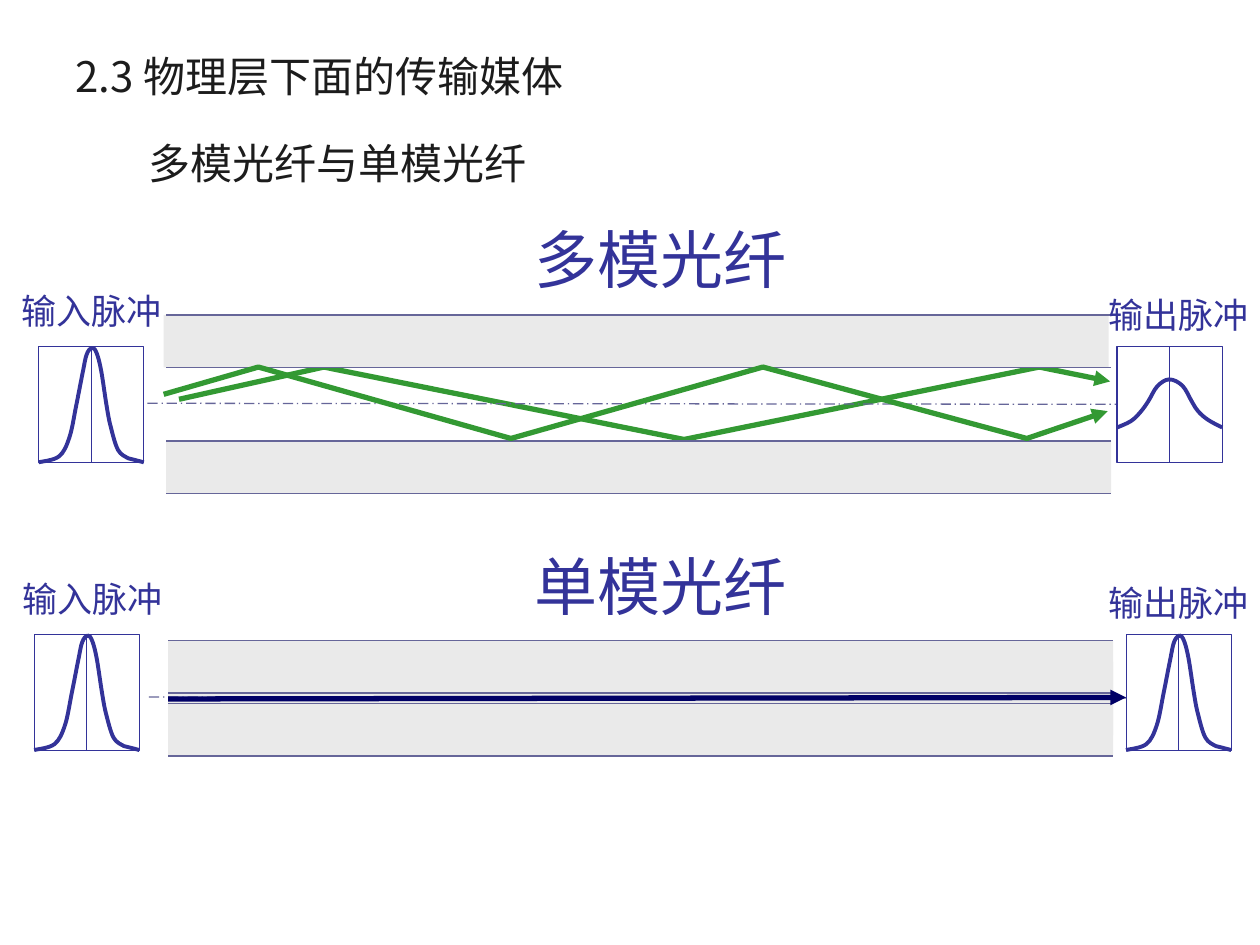
from lxml import etree
from pptx import Presentation, util as u
from pptx.dml.color import RGBColor
from pptx.enum import dml, shapes, text
from pptx.oxml.ns import qn

Cm, Pt = u.Cm, u.Pt
COLOURS = {"ink": "1C1C1C", "label": "333399", "edge": "666699", "cladding": "EAEAEA",
           "ray": "339933", "beam": "000066", "white": "FFFFFF"}
CJK_FONT = "Noto Sans CJK SC"

# All lengths are in centimetres.
HEADING = ("2.3 物理层下面的传输媒体", (1.27, 0.76, 22.86, 1.55))
TITLE = ("多模光纤与单模光纤", (1.9, 2.51, 9.8, 1.55))
FIBRE_WIDTH, CLADDING_HEIGHT = 19.05, 1.06
PULSE_WIDTH, PULSE_HEIGHT = 2.12, 2.33

# Pulse curves, measured from the top left corner of their frame.
NARROW = [(0, 2.33), (0.41, 2.21), (0.62, 1.83), (0.76, 1.17), (0.89, 0.51),
          (0.97, 0.15), (1.08, 0.02), (1.17, 0.13), (1.26, 0.48), (1.37, 1.19),
          (1.45, 1.6), (1.6, 2.08), (1.81, 2.25), (1.93, 2.28), (2.12, 2.33)]
WIDE = [(0, 1.63), (0.28, 1.5), (0.47, 1.32), (0.63, 1.1), (0.81, 0.8), (1.05, 0.66),
        (1.32, 0.79), (1.52, 1.13), (1.64, 1.31), (1.84, 1.48), (2.12, 1.63)]

SINGLE_MODE = {
    "name": ("单模光纤", 10.52, 10.92), "left": 3.39, "cladding_lefts": (3.39, 3.39),
    "cladding_tops": (12.91, 14.18), "core": (3.39, 13.34, FIBRE_WIDTH, 1.48),
    "axis": [(3, 14.05), (22.74, 14.07)], "pulse_top": 12.79, "frame_line": 0.5,
    "pulses": [("输入脉冲", 0.2, 11.51, 0.69, NARROW),
               ("输出脉冲", 22.1, 11.59, 22.7, NARROW)]}
MULTI_MODE = {
    "name": ("多模光纤", 10.52, 4.32), "left": 3.35, "cladding_lefts": (3.3, 3.35),
    "cladding_tops": (6.35, 8.89), "core": None,
    "axis": [(2.97, 8.13), (22.7, 8.15)], "pulse_top": 6.99, "frame_line": 0.75,
    "pulses": [("输入脉冲", 0.18, 5.72, 0.78, NARROW),
               ("输出脉冲", 22.1, 5.79, 22.52, WIDE)]}
SHALLOW_RAY = [(3.61, 8.05), (6.53, 7.4), (13.79, 8.86), (20.95, 7.4), (22.38, 7.69)]
STEEP_RAY = [(3.3, 7.95), (5.21, 7.4), (10.3, 8.84), (15.38, 7.4), (20.7, 8.84), (22.33, 8.29)]
BEAM = [(3.39, 14.09), (22.7, 14.06)]


def rgb(colour):
    return RGBColor.from_string(COLOURS[colour])


def lengths(*values):
    return [Cm(value) for value in values]


def style_line(shape, colour, width, dash=None, arrow=False):
    line = shape.line
    line.color.rgb = rgb(colour)
    line.width = Pt(width)
    if dash:
        line.dash_style = dash
    if arrow:
        etree.SubElement(line._get_or_add_ln(), qn("a:tailEnd"), type="triangle")


def add_line(slide, points, colour, width, **options):
    (x1, y1), (x2, y2) = points
    line = slide.shapes.add_connector(shapes.MSO_CONNECTOR.STRAIGHT, *lengths(x1, y1, x2, y2))
    etree.SubElement(line._element.spPr, qn("a:effectLst"))
    style_line(line, colour, width, **options)
    return line


def add_rectangle(slide, box, fill):
    rectangle = slide.shapes.add_shape(shapes.MSO_SHAPE.RECTANGLE, *lengths(*box))
    rectangle.shadow.inherit = False
    rectangle.fill.solid()
    rectangle.fill.fore_color.rgb = rgb(fill)
    rectangle.line.fill.background()
    return rectangle


def add_open_path(slide, points, colour, width, **options):
    start, *rest = [lengths(*point) for point in points]
    builder = slide.shapes.build_freeform(*start)
    builder.add_line_segments(rest, close=False)
    outline = builder.convert_to_shape()
    outline.shadow.inherit = False
    outline.fill.background()
    style_line(outline, colour, width, **options)
    return outline


def add_smooth_curve(slide, knots, colour, width):
    """Draw Bézier pieces through the knots, with tangents set by their neighbours."""
    padded = [knots[0], *knots, knots[-1]]
    points = [knots[0]]
    for before, start, end, after in zip(padded, padded[1:], padded[2:], padded[3:]):
        points += [tuple(s + (e - b) / 6 for b, s, e in zip(before, start, end)),
                   tuple(e - (a - s) / 6 for s, e, a in zip(start, end, after)), end]
    curve = add_open_path(slide, points, colour, width)
    segments = list(curve._element.iter(qn("a:lnTo")))
    for first in range(0, len(segments), 3):
        bezier = etree.SubElement(segments[first].getparent(), qn("a:cubicBezTo"))
        for segment in segments[first:first + 3]:
            bezier.append(segment[0])
            segment.getparent().remove(segment)


def write(shape, words, size, colour, font=CJK_FONT, alignment=text.PP_ALIGN.LEFT, **frame_format):
    frame = shape.text_frame
    for name, value in frame_format.items():
        setattr(frame, name, value)
    paragraph = frame.paragraphs[0]
    paragraph.alignment = alignment
    run = paragraph.add_run()
    run.text = words
    for name, value in {"size": Pt(size), "name": font, "bold": False}.items():
        setattr(run.font, name, value)
    run.font.color.rgb = rgb(colour)
    etree.SubElement(run.font._element, qn("a:ea"), typeface=CJK_FONT)


def add_label(slide, words, left, top, width, height, size, font=CJK_FONT):
    label = slide.shapes.add_textbox(*lengths(left, top, width, height))
    write(label, words, size, "label", font, word_wrap=False,
          auto_size=text.MSO_AUTO_SIZE.SHAPE_TO_FIT_TEXT)


def add_pulse(slide, left, top, knots, frame_line):
    frame = add_rectangle(slide, (left, top, PULSE_WIDTH, PULSE_HEIGHT), "white")
    style_line(frame, "label", frame_line)
    middle = left + PULSE_WIDTH / 2
    centre = add_line(slide, [(middle, top), (middle, top + PULSE_HEIGHT)], "label", 0.5)
    centre.begin_connect(frame, 0)
    centre.end_connect(frame, 2)
    add_smooth_curve(slide, [(left + x, top + y) for x, y in knots], "label", 2.25)


def add_fibre(slide, fibre):
    if fibre["core"]:
        add_rectangle(slide, fibre["core"], "cladding")
    for left, top in zip(fibre["cladding_lefts"], fibre["cladding_tops"]):
        add_rectangle(slide, (left, top, FIBRE_WIDTH, CLADDING_HEIGHT), "cladding")
    for top in fibre["cladding_tops"]:
        for y in (top, top + CLADDING_HEIGHT):
            add_line(slide, [(fibre["left"], y), (fibre["left"] + FIBRE_WIDTH, y)], "edge", 0.75)
    add_line(slide, fibre["axis"], "edge", 0.75, dash=dml.MSO_LINE.LONG_DASH_DOT)
    for words, label_left, label_top, left, knots in fibre["pulses"]:
        add_pulse(slide, left, fibre["pulse_top"], knots, fibre["frame_line"])
        add_label(slide, words, label_left, label_top, 3.33, 1.12, 20)
    add_label(slide, *fibre["name"], 5.59, 1.78, 36, "Cabin")


def main():
    presentation = Presentation()
    presentation.slide_width, presentation.slide_height = lengths(25.4, 19.05)
    slide = presentation.slides.add_slide(presentation.slide_layouts[5])

    title = slide.shapes.title
    words, box = TITLE
    for name, value in zip(("left", "top", "width", "height"), lengths(*box)):
        setattr(title, name, value)
    middle = {"word_wrap": True, "vertical_anchor": text.MSO_ANCHOR.MIDDLE}
    write(title, words, 24, "ink", alignment=text.PP_ALIGN.CENTER, margin_left=0,
          margin_right=0, **middle)

    add_fibre(slide, SINGLE_MODE)
    add_open_path(slide, SHALLOW_RAY, "ray", 3, arrow=True)
    add_fibre(slide, MULTI_MODE)
    add_line(slide, BEAM, "beam", 3, arrow=True)
    add_open_path(slide, STEEP_RAY, "ray", 3, arrow=True)

    words, box = HEADING
    write(slide.shapes.add_textbox(*lengths(*box)), words, 24, "ink", **middle)
    presentation.save("out.pptx")


if __name__ == "__main__":
    main()
